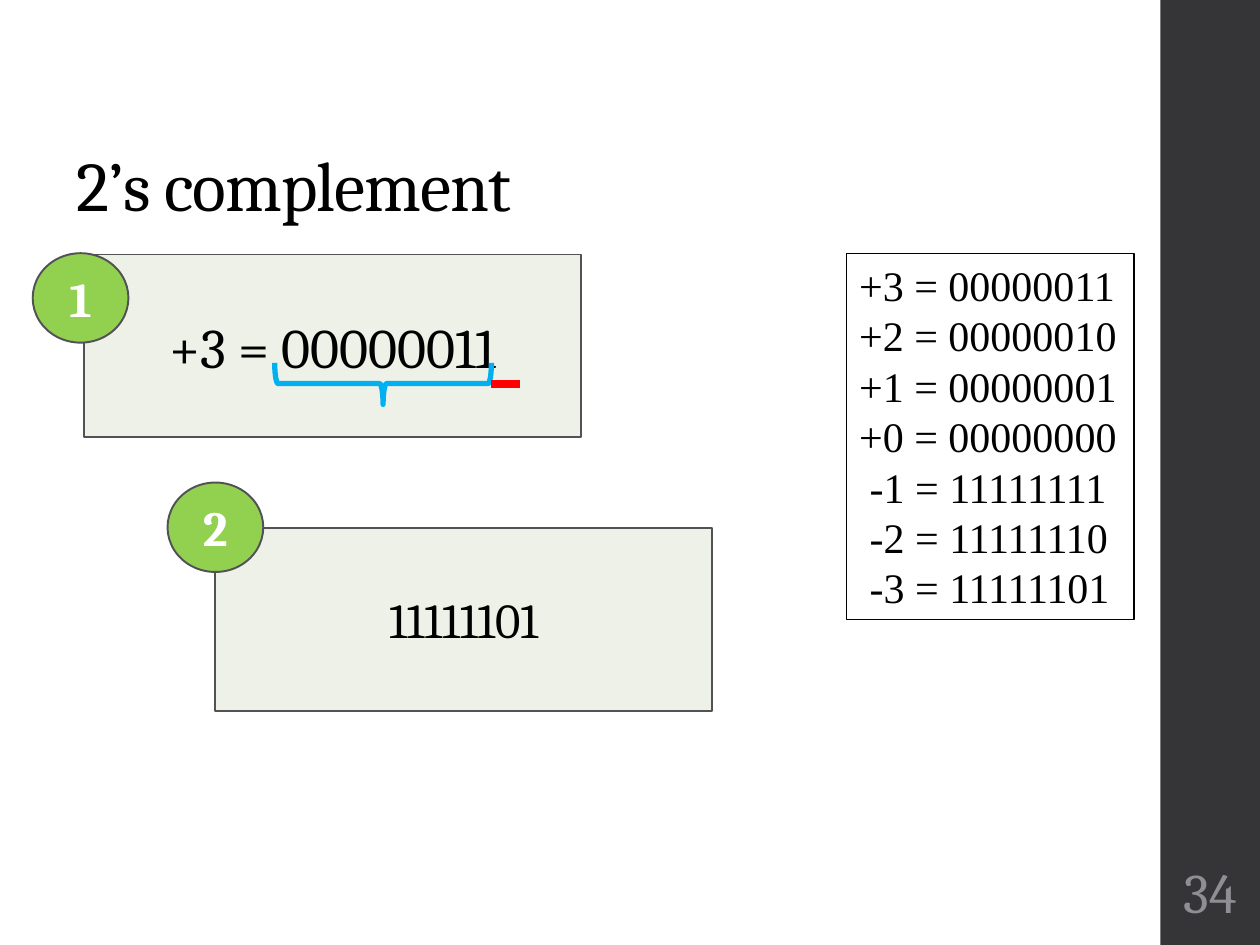
import pptx
import pptx.util
import pptx.dml.color
import pptx.enum.shapes
import pptx.enum.text
import pptx.oxml.ns
import lxml.etree

Inches = pptx.util.Inches
Pt = pptx.util.Pt
RGBColor = pptx.dml.color.RGBColor
Shape = pptx.enum.shapes.MSO_SHAPE
Align = pptx.enum.text.PP_ALIGN
Anchor = pptx.enum.text.MSO_ANCHOR

BLACK = RGBColor(0x00, 0x00, 0x00)
WHITE = RGBColor(0xFF, 0xFF, 0xFF)
DARK = RGBColor(0x35, 0x35, 0x37)
EDGE = RGBColor(0x52, 0x52, 0x56)
PALE = RGBColor(0xED, 0xF1, 0xE7)
GREEN = RGBColor(0x92, 0xD0, 0x50)
BLUE = RGBColor(0x00, 0xB0, 0xF0)
RED = RGBColor(0xFF, 0x00, 0x00)
GREY = RGBColor(0x8E, 0x8E, 0x94)


def write(shape, text, size, font="Cambria", color=BLACK, bold=False,
          align=Align.CENTER, anchor=Anchor.MIDDLE, side=0.1,
          leading=None, track=None):
    """Fill a shape with text, one paragraph for each line."""
    frame = shape.text_frame
    frame.word_wrap = True
    frame.vertical_anchor = anchor
    frame.margin_left = frame.margin_right = Inches(side)
    frame.margin_top = frame.margin_bottom = Inches(0.05)
    for row, line in enumerate(text.split("\n")):
        para = frame.paragraphs[0] if row == 0 else frame.add_paragraph()
        para.alignment = align
        if leading:
            para.line_spacing = leading
        run = para.add_run()
        run.text = line
        run.font.name = font
        run.font.size = Pt(size)
        run.font.bold = bold
        run.font.color.rgb = color
        if track:
            run.font._element.set("spc", str(round(track * 100)))


def draw(slide, kind, box, fill=None, line=None, width=1.1):
    shape = slide.shapes.add_shape(kind, *map(Inches, box))
    shape.shadow.inherit = False
    if fill is None:
        shape.fill.background()
    else:
        shape.fill.solid()
        shape.fill.fore_color.rgb = fill
    if line is None:
        shape.line.fill.background()
    else:
        shape.line.color.rgb = line
        shape.line.width = Pt(width)
    return shape


def add_title(slide, box, text):
    title = slide.shapes.add_textbox(*map(Inches, box))
    write(title, text, 40, align=Align.LEFT, anchor=Anchor.BOTTOM,
          leading=0.9, track=-0.5)


def add_bar(slide, box, number):
    """Dark side bar with the page number near its foot."""
    left, top, wide, high = box
    draw(slide, Shape.RECTANGLE, box, DARK)
    page = slide.shapes.add_textbox(
        *map(Inches, (left + 0.02, top + high - 0.75, 0.75, 0.65)))
    write(page, number, 32, color=GREY, side=0.03)


def add_list(slide, box, text):
    panel = draw(slide, Shape.RECTANGLE, box, line=BLACK, width=0.75)
    write(panel, text, 24, font="Times New Roman", align=Align.LEFT,
          anchor=Anchor.TOP)


def add_step(slide, box, text, size, label, shift):
    """Panel with a numbered badge, shifted from the panel's corner."""
    panel = draw(slide, Shape.RECTANGLE, box, PALE, EDGE)
    write(panel, text, size)
    spot = (box[0] + shift[0], box[1] + shift[1], 0.76, 0.71)
    badge = draw(slide, Shape.OVAL, spot, GREEN, EDGE)
    write(badge, label, 28, color=WHITE, bold=True)


def add_marks(slide, box):
    """Brace under the leading bits, then a dash under the last bit."""
    left, top, wide, high = box
    brace_wide = wide - 0.23
    mid_x, mid_y = left + brace_wide / 2, top + high / 2
    # The brace is upright before its quarter turn
    brace = draw(slide, Shape.RIGHT_BRACE,
                 (mid_x - high / 2, mid_y - brace_wide / 2, high, brace_wide),
                 line=BLUE, width=3)
    brace.rotation = 90

    dash = slide.shapes.add_connector(
        pptx.enum.shapes.MSO_CONNECTOR.STRAIGHT,
        *map(Inches, (left + brace_wide, mid_y, left + wide, mid_y)))
    dash.line.color.rgb = RED
    dash.line.width = Pt(4.5)
    lxml.etree.SubElement(dash._element.spPr,
                          pptx.oxml.ns.qn("a:effectLst"))


def main():
    deck = pptx.Presentation()
    deck.slide_width, deck.slide_height = Inches(10), Inches(7.5)
    slide = deck.slides.add_slide(deck.slide_layouts[6])

    add_bar(slide, (9.21, 0, 0.8, 7.5), "34")
    add_title(slide, (0.51, 0.4, 8.47, 1.45), "2’s complement")
    add_list(slide, (6.72, 2.01, 2.28, 2.91),
             "+3 = 00000011\n+2 = 00000010\n+1 = 00000001\n+0 = 00000000\n"
             " -1 = 11111111\n -2 = 11111110\n -3 = 11111101")
    add_step(slide, (0.67, 2.02, 3.94, 1.45), "+3 = 00000011", 32,
             "1", (-0.41, -0.01))
    add_step(slide, (1.71, 4.19, 3.94, 1.45), "11111101", 28,
             "2", (-0.38, -0.36))
    add_marks(slide, (2.18, 2.88, 1.95, 0.33))

    deck.save("out.pptx")


if __name__ == "__main__":
    main()
